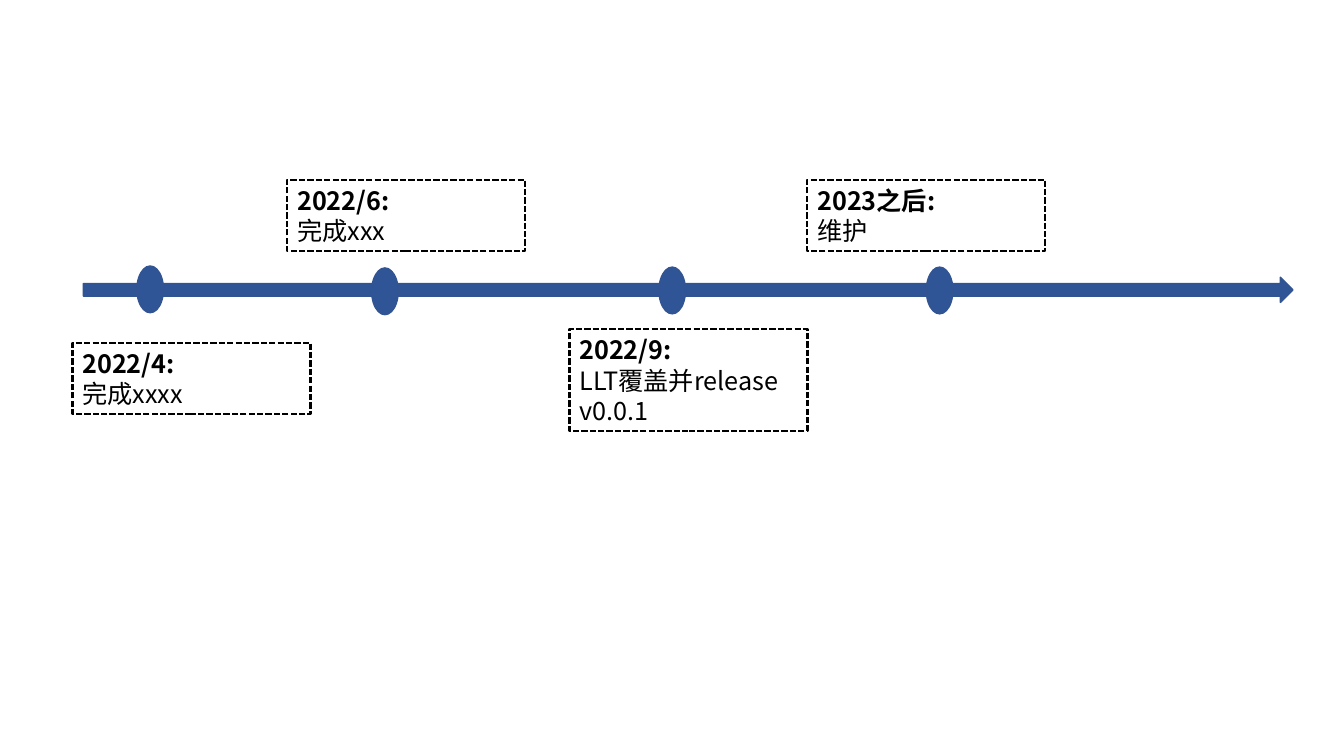
from lxml.etree import SubElement
from pptx import Presentation
from pptx.dml.color import RGBColor
from pptx.enum.dml import MSO_LINE
from pptx.enum.shapes import MSO_SHAPE
from pptx.enum.text import MSO_ANCHOR, PP_ALIGN
from pptx.oxml.ns import qn
from pptx.util import Pt

# Content: date, task, dot centre x, dot top, note left, note top, lines of text
MILESTONES = [
    ("2022/4:", "完成xxxx", 107.3, 190, 51.8, 244.8, 2),
    ("2022/6:", "完成xxx", 275, 191.4, 205.2, 128.4, 2),
    ("2022/9:", "LLT覆盖并release v0.0.1", 480.2, 190.8, 406.8, 235, 3),
    ("2023之后:", "维护", 671.2, 190.8, 576.7, 128.4, 2),
]
FONT, TEXT_SIZE, LINE_PITCH = "Noto Sans CJK SC", 18, 21.8
BLUE, EDGE, BLACK = "2F5597", "325491", "000000"
DOT_WIDTH, DOT_HEIGHT = 19, 33.4
NOTE_WIDTH, NOTE_PADDING = 170, 7.4


def color(hex_value):
    return RGBColor.from_string(hex_value)


def add_part(kind, left, top, width, height, fill, edge, edge_width):
    part = slide.shapes.add_shape(kind, Pt(left), Pt(top), Pt(width), Pt(height))
    part.shadow.inherit = False
    if fill:
        part.fill.solid()
        part.fill.fore_color.rgb = color(fill)
    else:
        part.fill.background()
    part.line.color.rgb = color(edge)
    part.line.width = Pt(edge_width)
    return part


def add_note(date, task, left, top, line_count):
    height = line_count * LINE_PITCH + NOTE_PADDING
    note = add_part(MSO_SHAPE.RECTANGLE, left, top, NOTE_WIDTH, height, None, BLACK, 1.5)
    note.line.dash_style = MSO_LINE.SQUARE_DOT
    frame = note.text_frame
    frame.word_wrap = True
    frame.vertical_anchor = MSO_ANCHOR.MIDDLE
    frame.text = f"{date}\n{task}"
    for paragraph, bold in zip(frame.paragraphs, (True, False)):
        paragraph.alignment = PP_ALIGN.LEFT
        paragraph.line_spacing = Pt(LINE_PITCH)
        font = paragraph.runs[0].font
        font.name, font.size, font.bold = FONT, Pt(TEXT_SIZE), bold
        font.color.rgb = color(BLACK)
        # East Asian typeface
        SubElement(paragraph.runs[0]._r.rPr, qn("a:ea")).set("typeface", FONT)


presentation = Presentation()
presentation.slide_width, presentation.slide_height = Pt(960), Pt(540)
slide = presentation.slides.add_slide(presentation.slide_layouts[6])

# Time axis
add_part(MSO_SHAPE.RIGHT_ARROW, 59.6, 198, 864, 18, BLUE, EDGE, 1)

# Dots on the axis
for _, _, center, dot_top, *_ in MILESTONES:
    add_part(MSO_SHAPE.OVAL, center - DOT_WIDTH / 2, dot_top,
             DOT_WIDTH, DOT_HEIGHT, BLUE, EDGE, 1)

# Milestone notes
for date, task, _, _, note_left, note_top, line_count in MILESTONES:
    add_note(date, task, note_left, note_top, line_count)

presentation.save("out.pptx")
